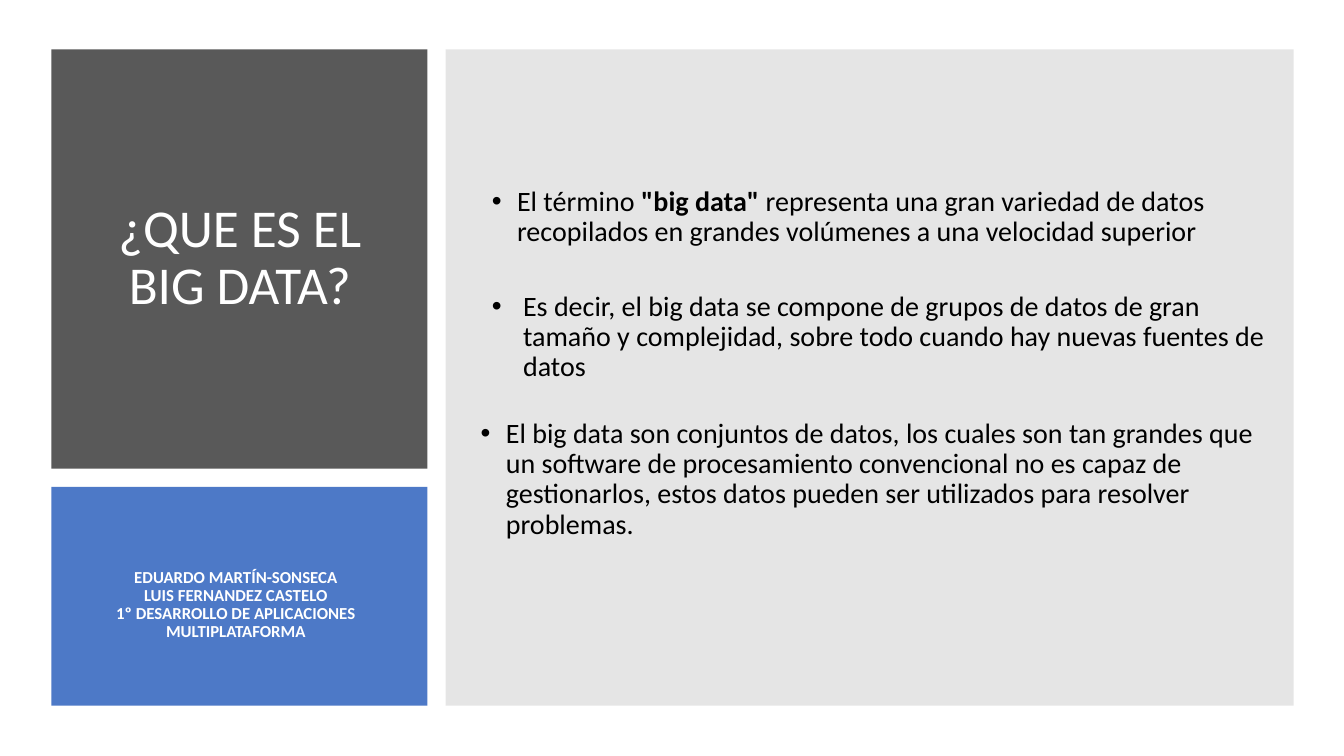
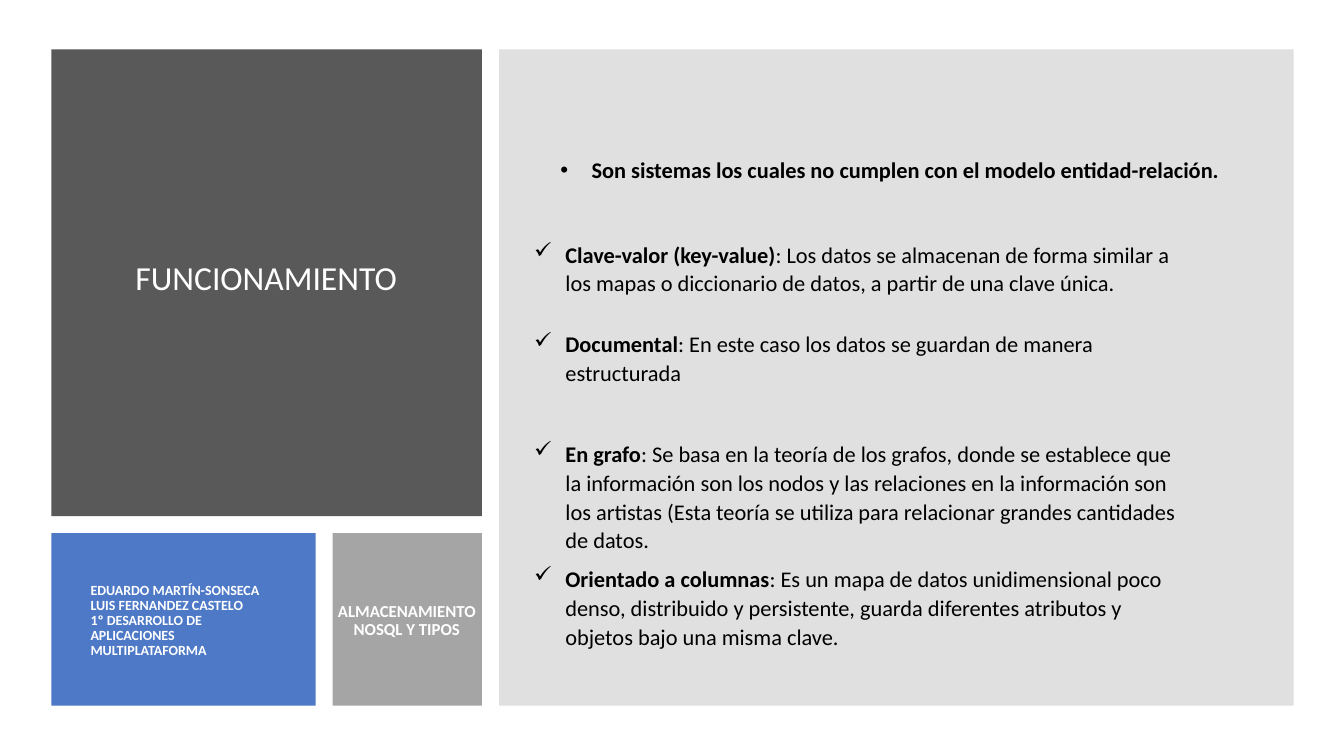
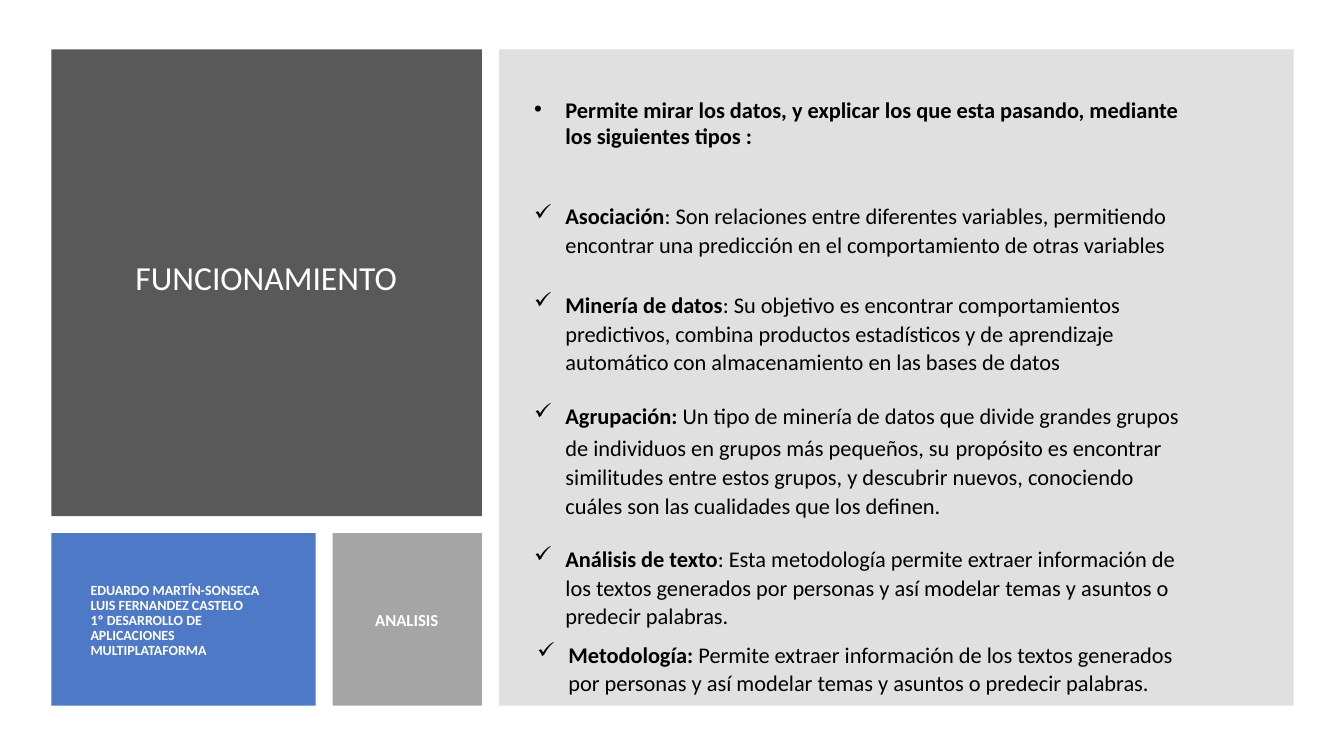
from copy import deepcopy
from dataclasses import dataclass

from lxml import etree
from pptx import Presentation
from pptx.dml.color import RGBColor
from pptx.enum import shapes, text
from pptx.oxml import ns
from pptx.util import Inches, Pt

AUTHORS = ("EDUARDO MARTÍN-SONSECA", "LUIS FERNANDEZ CASTELO",
           "1º DESARROLLO DE APLICACIONES MULTIPLATAFORMA")
DOT, CHECK = "•", "✓"

# Each bullet: (left, top, width, height), runs of (text, bold[, size]), format changes
INTRO = [
    ((4.78, 1.81, 8.05, 0.76),
     [("El término ", False), ('"big data" ', True),
      ("representa una gran variedad de datos recopilados en grandes volúmenes "
       "a una velocidad superior", False)],
     {"indent": 0.25, "hang": 0.25, "before": 10}),
    ((4.78, 2.85, 8.04, 1.07),
     [("Es decir, el big data se compone de grupos de datos de gran tamaño y "
       "complejidad, sobre todo cuando hay nuevas fuentes de datos", False)],
     {}),
    ((4.61, 4.11, 8.04, 1.44),
     [("El big data son conjuntos de datos, los cuales son tan grandes\u00a0que un "
       "software de procesamiento\u00a0convencional no es capaz de gestionarlos, estos "
       "datos pueden ser utilizados para resolver problemas.", False)],
     {"hang": 0.25, "after": 6}),
]
HEADLINE = {"bullet": DOT, "spacing": 1.0, "after": 0}
STORAGE = [
    ((5.46, 1.5, 6.84, 0.37),
     [("Son sistemas los cuales no cumplen con el modelo entidad-relación.", True)],
     HEADLINE),
    ((5.2, 2.32, 6.67, 0.66),
     [("Clave-valor (key-value)", True),
      (": Los datos se almacenan de forma similar a los mapas o diccionario de datos, "
       "a partir de una clave única.", False)], {}),
    ((5.2, 3.21, 6.67, 0.66),
     [("Documental", True),
      (": En este caso los datos se guardan de manera estructurada", False)], {}),
    ((5.2, 4.3, 6.67, 1.24),
     [("En grafo", True),
      (": Se basa en la teoría de los grafos, donde se establece que la información son "
       "los nodos y las relaciones en la información son los artistas (Esta teoría se "
       "utiliza para relacionar grandes cantidades de datos.", False)], {}),
    ((5.2, 5.54, 6.67, 0.95),
     [("Orientado a columnas", True),
      (": Es un mapa de datos unidimensional poco denso, distribuido y persistente, "
       "guarda diferentes atributos y objetos bajo una misma clave.", False)], {}),
]
ANALYSIS = [
    ((5.2, 0.9, 6.67, 0.64),
     [("Permite mirar los datos, y explicar los que esta pasando, mediante los "
       "siguientes tipos :", True)], HEADLINE),
    ((5.2, 1.94, 6.67, 0.66),
     [("Asociación", True),
      (": Son relaciones entre diferentes variables, permitiendo encontrar una "
       "predicción en el comportamiento de otras variables", False)], {}),
    ((5.2, 2.82, 6.67, 0.95),
     [("Minería de datos", True),
      (": Su objetivo es encontrar comportamientos predictivos, combina productos "
       "estadísticos y de aprendizaje automático con almacenamiento en las bases de "
       "datos", False)], {}),
    ((5.2, 3.92, 6.67, 1.28),
     [("Agrupación: ", True),
      ("Un tipo de minería de datos que divide grandes grupos de individuos en grupos "
       "más pequeños, su", False), (" ", False, 18),
      ("propósito es encontrar similitudes entre estos grupos, y descubrir nuevos, "
       "conociendo cuáles son las cualidades que los definen.", False)], {}),
    ((5.2, 5.34, 6.67, 0.95),
     [("Análisis de texto", True),
      (": Esta metodología permite extraer información de los textos generados por "
       "personas y así modelar temas y asuntos o predecir palabras.", False)], {}),
    ((5.23, 6.29, 6.67, 1.06),
     [("Metodología: ", True),
      ("Permite extraer información de los textos generados por personas y así modelar "
       "temas y asuntos o predecir palabras.", False)], {}),
]

# Card grids: title card width and height, gap, author card width, content colour and opacity
WIDE = {"w": 3.73, "h": 4.16, "gap": 0.18, "author_w": 3.73, "content": ("808080", 20)}
SPLIT = {"w": 4.27, "h": 4.63, "gap": 0.17, "author_w": 2.62, "content": ("7F7F7F", 24)}
CENTER = {"align": text.PP_ALIGN.CENTER}
MIDDLE = {"anchor": text.MSO_ANCHOR.MIDDLE}
INTRO_STYLE = {"size": 20, "bullet": DOT, "indent": 0.31, "hang": 0.31}
TYPE_STYLE = {"size": 16, "bullet": CHECK, "indent": 0.31, "hang": 0.31,
              "spacing": 1.07, "after": 8, "grow": True}
WIDE_PARTS = {"title_box": (1.06, 1.87, 2.64, 1.39), "title_size": 38,
              "author_box": (0.51, 5.42, 3.66, 0.99),
              "author": {"size": 12, "after": 6, "anchor": text.MSO_ANCHOR.BOTTOM, **CENTER}}
SPLIT_PARTS = {"title_box": (0.8, 1.22, 3.68, 3.11), "title_size": 24,
               "author_box": (0.8, 5.6, 2, 1.12),
               "author": {"size": 10, "before": 10, "after": 6, **MIDDLE}}
SLIDES = [
    ("¿QUE ES EL BIG DATA?", None, WIDE, WIDE_PARTS, INTRO_STYLE, INTRO),
    ("FUNCIONAMIENTO", "ALMACENAMIENTO NOSQL Y TIPOS", SPLIT, SPLIT_PARTS, TYPE_STYLE, STORAGE),
    ("FUNCIONAMIENTO", "ANALISIS", SPLIT, SPLIT_PARTS, TYPE_STYLE, ANALYSIS),
]


@dataclass(frozen=True)
class Theme:
    """Colours, type and page edges shared by every slide."""
    font: str = "Calibri"
    ink: str = "000000"
    light: str = "FFFFFF"
    title_card: str = "595959"
    author_card: str = "4472C4"
    tag_card: str = "A5A5A5"
    tag_size: int = 12
    left: float = 0.51
    top: float = 0.49
    right: float = 12.83
    bottom: float = 7.0


THEME = Theme()


def add_card(slide, box, color, opacity=100):
    """Draw a borderless rectangle, see-through below 100 percent, behind the title."""
    sp = slide.shapes.add_shape(shapes.MSO_SHAPE.RECTANGLE, *map(Inches, box))
    sp.shadow.inherit = False
    sp.fill.solid()
    sp.fill.fore_color.rgb = RGBColor.from_string(color)
    sp.line.fill.background()
    if opacity < 100:
        clr = sp.element.spPr.find(".//" + ns.qn("a:srgbClr"))
        etree.SubElement(clr, ns.qn("a:alpha"), val=str(opacity * 1000))
    slide.shapes.title.element.addprevious(sp.element)


def add_bullet(p, char, indent, hang):
    """Give a paragraph a bullet and a hanging indent."""
    pPr = p._p.get_or_add_pPr()
    pPr.set("marL", str(Inches(indent)))
    pPr.set("indent", str(-Inches(hang)))
    if char == DOT:
        etree.SubElement(pPr, ns.qn("a:buFont"), typeface="Arial")
    etree.SubElement(pPr, ns.qn("a:buChar"), char=char)


def write(sp, runs, size, color=THEME.ink, align=text.PP_ALIGN.LEFT,
          anchor=text.MSO_ANCHOR.TOP, spacing=0.9, before=0, after=0,
          bullet=None, indent=0, hang=0, grow=False):
    """Fill a shape with one formatted paragraph; None in runs breaks the line."""
    tf = sp.text_frame
    fit = text.MSO_AUTO_SIZE.SHAPE_TO_FIT_TEXT if grow else text.MSO_AUTO_SIZE.NONE
    for name, value in {"word_wrap": True, "auto_size": fit, "vertical_anchor": anchor}.items():
        setattr(tf, name, value)
    p = tf.paragraphs[0]
    for name, value in {"alignment": align, "line_spacing": spacing,
                        "space_before": Pt(before), "space_after": Pt(after)}.items():
        setattr(p, name, value)
    if bullet:
        add_bullet(p, bullet, indent, hang)
    for run in runs:
        if run is None:
            p.add_line_break()
            p._p[-1].append(deepcopy(r.font._rPr))
            continue
        words, bold, *own_size = run
        r = p.add_run()
        r.text = words
        for name, value in {"name": THEME.font, "size": Pt(own_size[0] if own_size else size),
                            "bold": bold}.items():
            setattr(r.font, name, value)
        r.font.color.rgb = RGBColor.from_string(color)


def add_text(slide, box, runs, **style):
    """Add a text box holding one paragraph."""
    write(slide.shapes.add_textbox(*map(Inches, box)), runs, **style)


def add_cards(slide, grid, tag):
    """Lay out the title, author, content and optional tag cards."""
    t, gap = THEME, grid["gap"]
    low = t.top + grid["h"] + gap
    content_x = t.left + grid["w"] + gap
    add_card(slide, (t.left, t.top, grid["w"], grid["h"]), t.title_card)
    add_card(slide, (t.left, low, grid["author_w"], t.bottom - low), t.author_card, 95)
    add_card(slide, (content_x, t.top, t.right - content_x, t.bottom - t.top), *grid["content"])
    if tag:
        tag_x = t.left + grid["author_w"] + gap
        add_card(slide, (tag_x, low, content_x - gap - tag_x, t.bottom - low), t.tag_card)
        add_text(slide, (3.21, 5.31, 1.65, 1.7), [(tag, True)], size=t.tag_size,
                 color=t.light, before=10, after=6, **CENTER, **MIDDLE)


def add_slide(prs, title, tag, grid, parts, style, bullets):
    """Build one slide: cards, title, authors and bullets."""
    slide = prs.slides.add_slide(prs.slide_layouts[5])
    sp = slide.shapes.title
    for name, value in zip(("left", "top", "width", "height"), parts["title_box"]):
        setattr(sp, name, Inches(value))
    write(sp, [(title, False)], parts["title_size"], THEME.light, **CENTER, **MIDDLE)
    add_cards(slide, grid, tag)
    first, *others = [(line, True) for line in AUTHORS]
    lines = [first] + [item for line in others for item in (None, line)]
    add_text(slide, parts["author_box"], lines, color=THEME.light, **parts["author"])
    for box, runs, changes in bullets:
        add_text(slide, box, runs, **{**style, **changes})


def main():
    """Create and save the presentation."""
    prs = Presentation()
    prs.slide_width, prs.slide_height = Inches(13.33), Inches(7.5)
    for content in SLIDES:
        add_slide(prs, *content)
    prs.save("out.pptx")


main()
